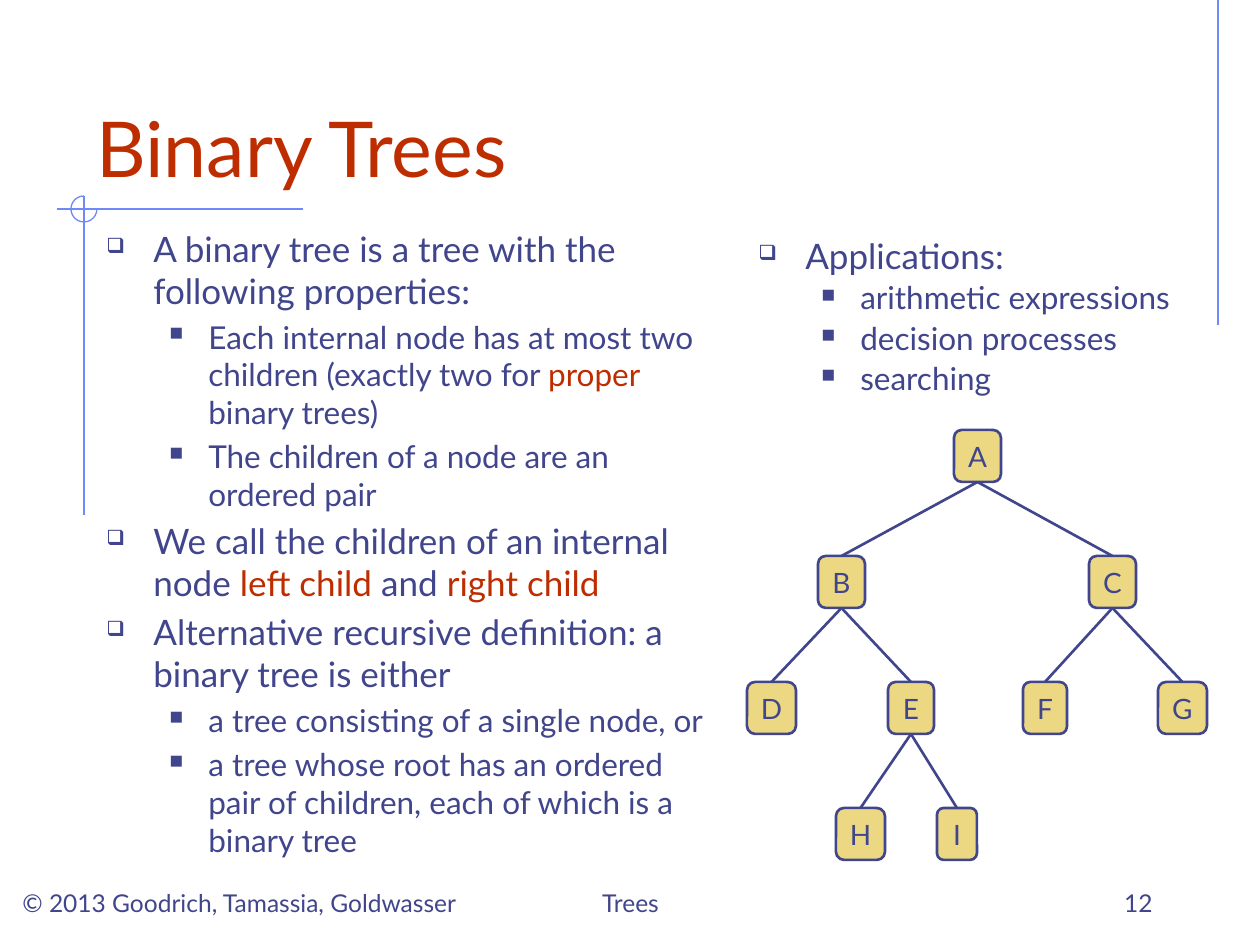
from lxml import etree
from pptx import Presentation
from pptx.dml.color import RGBColor
from pptx.enum.shapes import MSO_CONNECTOR, MSO_SHAPE
from pptx.enum.text import MSO_ANCHOR, PP_ALIGN
from pptx.oxml.ns import qn
from pptx.util import Emu, Pt

STRAIGHT = MSO_CONNECTOR.STRAIGHT
ARC, ROUNDED = MSO_SHAPE.ARC, MSO_SHAPE.ROUNDED_RECTANGLE
TOP, MIDDLE, BOTTOM = MSO_ANCHOR.TOP, MSO_ANCHOR.MIDDLE, MSO_ANCHOR.BOTTOM
LEFT, CENTER, RIGHT = PP_ALIGN.LEFT, PP_ALIGN.CENTER, PP_ALIGN.RIGHT
SITE_TOP, SITE_BOTTOM = 0, 2

PX_PER_INCH = 126
FONT = "Lato"
COLORS = {"text": "40458C", "accent": "BE2D00", "rule": "6F89F7", "node": "ECD882"}

# Bullet levels, with indents in px and sizes in points
LEVELS = [
    {"size": 20, "margin": 47, "hanging": 47, "before": 4, "char": "❑"},
    {"size": 18, "margin": 102, "hanging": 39, "before": 3.6, "char": "■"},
]

# Each item: level, then runs of (text, color)
PROPERTIES = [
    (0, [("A binary tree is a tree with the following properties:", "text")]),
    (1, [("Each internal node has at most two children (exactly two for ", "text"),
         ("proper", "accent"), (" binary trees)", "text")]),
    (1, [("The children of a node are an ordered pair", "text")]),
    (0, [("We call the children of an internal node ", "text"), ("left child", "accent"),
         (" and ", "text"), ("right child", "accent")]),
    (0, [("Alternative recursive definition: a binary tree is either", "text")]),
    (1, [("a tree consisting of a single node, or", "text")]),
    (1, [("a tree whose root has an ordered pair of children, "
          "each of which is a binary tree", "text")]),
]
APPLICATIONS = [
    (0, [("Applications:", "text")]),
    (1, [("arithmetic expressions", "text")]),
    (1, [("decision processes", "text")]),
    (1, [("searching", "text")]),
]

# Node: depth, left offset and width in px
NODES = {
    "A": (0, 207, 47), "B": (1, 71, 47), "C": (1, 342, 47),
    "D": (2, 0, 49), "E": (2, 141, 46), "F": (2, 276, 44), "G": (2, 411, 49),
    "H": (3, 89, 49), "I": (3, 190, 40),
}
CHILDREN = {"A": "BC", "B": "DE", "C": "FG", "E": "HI"}
LEVEL_PITCH, NODE_HEIGHT = 126, 52


def px(length):
    return Emu(round(length * 914400 / PX_PER_INCH))


def rgb(name):
    return RGBColor.from_string(COLORS[name])


def set_attributes(target, values):
    for name, value in values.items():
        setattr(target, name, value)


def add_run(paragraph, text, size, color):
    run = paragraph.add_run()
    run.text = text
    set_attributes(run.font, {"name": FONT, "size": Pt(size)})
    run.font.color.rgb = rgb(color)


def add_line(slide, start, end, color, width):
    line = slide.shapes.add_connector(STRAIGHT, *map(px, start + end))
    line.line.color.rgb = rgb(color)
    line.line.width = Pt(width)
    etree.SubElement(line._element.spPr, qn("a:effectLst"))
    return line


def add_frame(slide, box, anchor):
    frame = slide.shapes.add_textbox(*map(px, box)).text_frame
    set_attributes(frame, {"word_wrap": True, "vertical_anchor": anchor})
    return frame


def add_label(slide, box, text, size, color="text", align=LEFT):
    paragraph = add_frame(slide, box, BOTTOM).paragraphs[0]
    paragraph.alignment = align
    add_run(paragraph, text, size, color)


def add_bullet(paragraph, level):
    properties = paragraph._p.get_or_add_pPr()
    properties.set("marL", str(px(level["margin"])))
    properties.set("indent", str(-px(level["hanging"])))
    bullet_color = etree.SubElement(properties, qn("a:buClr"))
    etree.SubElement(bullet_color, qn("a:srgbClr"), val=COLORS["text"])
    etree.SubElement(properties, qn("a:buSzPct"), val="60000")
    etree.SubElement(properties, qn("a:buChar"), char=level["char"])


def add_bullet_list(slide, box, items, sub_spacing=1.0):
    frame = add_frame(slide, box, TOP)
    for index, (depth, runs) in enumerate(items):
        paragraph = frame.add_paragraph() if index else frame.paragraphs[0]
        level = LEVELS[depth]
        set_attributes(paragraph, {
            "level": depth,
            "line_spacing": sub_spacing if depth else 1.0,
            "space_before": Pt(level["before"]),
        })
        add_bullet(paragraph, level)
        for text, color in runs:
            add_run(paragraph, text, level["size"], color)


def add_decoration(slide, box):
    left, top, width, height = box
    rule_x, rule_y = left + 27, top + 209
    radius = 13
    # Right edge, title underline and left margin rules
    for start, end in [
        ((left + width, top), (left + width, top + 325)),
        ((left + 246, rule_y), (left, rule_y)),
        ((rule_x, rule_y - radius), (rule_x, top + height)),
    ]:
        add_line(slide, start, end, "rule", 0.75)
    # Three-quarter circle at the crossing
    ring_box = (rule_x - radius, rule_y - radius, 2 * radius, 2 * radius)
    ring = slide.shapes.add_shape(ARC, *map(px, ring_box))
    ring.adjustments[0], ring.adjustments[1] = 0, 162
    ring.shadow.inherit = False
    ring.fill.background()
    ring.line.color.rgb = rgb("rule")
    ring.line.width = Pt(0.75)


def add_node(slide, box, name):
    node = slide.shapes.add_shape(ROUNDED, *map(px, box))
    node.shadow.inherit = False
    node.fill.solid()
    node.fill.fore_color.rgb = rgb("node")
    node.line.color.rgb = rgb("text")
    node.line.width = Pt(1.5)
    frame = node.text_frame
    set_attributes(frame, {
        "margin_left": 0, "margin_right": 0, "margin_top": 0, "margin_bottom": 0,
        "word_wrap": False, "vertical_anchor": MIDDLE,
    })
    frame.paragraphs[0].alignment = CENTER
    add_run(frame.paragraphs[0], name, 16, "text")
    return node


def add_tree(slide, origin):
    left, top = origin
    nodes = {}
    for name, (depth, offset, width) in NODES.items():
        box = (left + offset, top + depth * LEVEL_PITCH, width, NODE_HEIGHT)
        nodes[name] = add_node(slide, box, name)
    # Edges from parent to child
    for parent, children in CHILDREN.items():
        for child in children:
            edge = add_line(slide, origin, origin, "text", 1.5)
            edge.begin_connect(nodes[parent], SITE_BOTTOM)
            edge.end_connect(nodes[child], SITE_TOP)


def add_footer(slide, top, height):
    for left, width, text, align in [
        (10, 494, "© 2013 Goodrich, Tamassia, Goldwasser", LEFT),
        (431, 399, "Trees", CENTER),
        (903, 262, "12", RIGHT),
    ]:
        add_label(slide, (left, top, width, height), text, 14, align=align)


def main():
    presentation = Presentation()
    set_attributes(presentation, {"slide_width": px(1260), "slide_height": px(945)})
    slide = presentation.slides.add_slide(presentation.slide_layouts[6])
    add_decoration(slide, (57, 0, 1161, 515))
    add_label(slide, (84, 42, 1071, 157), "Binary Trees", 44, "accent")
    add_bullet_list(slide, (94, 221, 640, 651), PROPERTIES)
    add_bullet_list(slide, (746, 228, 451, 221), APPLICATIONS, sub_spacing=0.9)
    add_tree(slide, (747, 430))
    add_footer(slide, 861, 63)
    presentation.save("out.pptx")


if __name__ == "__main__":
    main()
